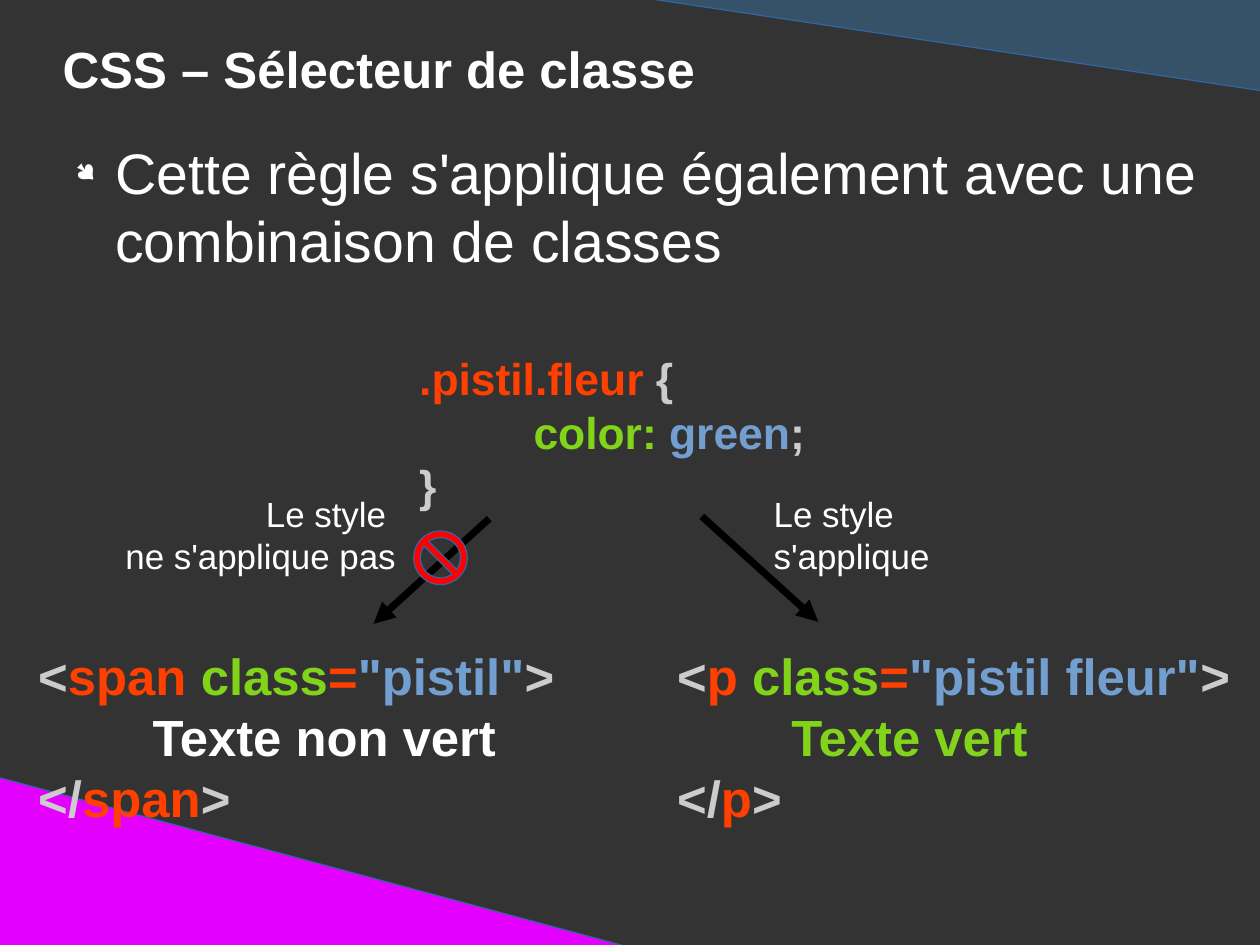
import pptx
import pptx.util
from lxml import etree
from pptx.dml.color import RGBColor
from pptx.enum.shapes import MSO_CONNECTOR, MSO_SHAPE
from pptx.enum.text import PP_ALIGN
from pptx.oxml.ns import qn

Pt = pptx.util.Pt

DARK = RGBColor(0x33, 0x33, 0x33)
WHITE = RGBColor(0xFF, 0xFF, 0xFF)
BLACK = RGBColor(0, 0, 0)
GREY = RGBColor(0xCC, 0xCC, 0xCC)
ORANGE = RGBColor(0xFF, 0x40, 0x00)
GREEN = RGBColor(0x81, 0xD4, 0x1A)
BLUE = RGBColor(0x72, 0x9F, 0xCF)
EDGE = RGBColor(0x34, 0x65, 0xA4)
TEAL = RGBColor(0x35, 0x52, 0x69)
PINK = RGBColor(0xE4, 0x00, 0xFF)
RED = RGBColor(0xFF, 0, 0)

WIDTH, HEIGHT = 793.7, 595.28
TITLE = "CSS – Sélecteur de classe"
BODY = "Cette règle s'applique également avec une combinaison de classes"

# Code blocks: place, size, paragraphs of (text, colour)
CODES = [
    ((17, 402.3, 356.4, 114.5), 32, [
        [("<", GREY), ("span ", ORANGE), ("class", GREEN), ("=", ORANGE),
         ('"pistil"', BLUE), ("> \n\t", GREY), ("Texte non vert \n", WHITE),
         ("</", GREY), ("span", ORANGE), (">", GREY)]]),
    ((257, 217.9, 270, 131.8), 28, [
        [(".pistil.fleur ", ORANGE), ("{", GREY)],
        [("\tcolor: ", GREEN), ("green", BLUE), (";", GREY)],
        [("}", GREY)]]),
    ((419.5, 402.3, 374.4, 150.5), 32, [
        [("<", GREY), ("p ", ORANGE), ("class", GREEN), ("=", ORANGE),
         ('"pistil fleur"', BLUE), ("> \n\t", GREY), ("Texte vert\n", GREEN),
         ("</", GREY), ("p", ORANGE), (">", GREY)]]),
]

# Labels: left edge, alignment, text
LABELS = [
    (73.6, PP_ALIGN.RIGHT, "Le style \nne s'applique pas"),
    (487.4, PP_ALIGN.LEFT, "Le style \ns'applique"),
]

ARROWS = [(308.2, 326.7, 235.3, 393), (442.1, 325.3, 515.4, 391.7)]


def add_mark(kind, place, fill, turn=0):
    mark = slide.shapes.add_shape(kind, *map(Pt, place))
    mark.shadow.inherit = False
    mark.rotation = turn
    mark.fill.solid()
    mark.fill.fore_color.rgb = fill
    mark.line.color.rgb = EDGE
    mark.line.width = Pt(0)
    return mark


def add_run(para, text, color):
    """Add coloured text, with a line break at each newline."""
    for i, part in enumerate(text.split("\n")):
        if i:
            para.add_line_break()
        if part:
            run = para.add_run()
            run.text = part
            run.font.color.rgb = color


def add_text(place, size, paras, bold=False, align=PP_ALIGN.LEFT,
             pad=(0, 0), tab=False):
    """Add a text box; each paragraph is a list of (text, colour) runs."""
    frame = slide.shapes.add_textbox(*map(Pt, place)).text_frame
    frame.word_wrap = True
    frame.margin_left = frame.margin_right = Pt(pad[0])
    frame.margin_top = frame.margin_bottom = Pt(pad[1])
    for i, runs in enumerate(paras):
        para = frame.add_paragraph() if i else frame.paragraphs[0]
        para.alignment = align
        if tab:
            stops = etree.SubElement(para._p.get_or_add_pPr(), qn("a:tabLst"))
            etree.SubElement(stops, qn("a:tab"), pos=str(Pt(72)), algn="l")
        para.font.name = "Arial"
        para.font.size = Pt(size)
        para.font.bold = bold
        for text, color in runs:
            add_run(para, text, color)
    return frame


def add_bullet(para):
    props = para._p.get_or_add_pPr()
    props.set("marL", str(Pt(33.8)))
    props.set("indent", str(Pt(-25.2)))
    color = etree.Element(qn("a:buClr"))
    etree.SubElement(color, qn("a:srgbClr"), val=str(WHITE))
    size = etree.Element(qn("a:buSzPct"), val="45000")
    font = etree.Element(qn("a:buFont"), typeface="Wingdings", charset="2")
    char = etree.Element(qn("a:buChar"), char="●")
    for i, part in enumerate((color, size, font, char)):
        props.insert(i, part)


def add_arrow(ends):
    arrow = slide.shapes.add_connector(MSO_CONNECTOR.STRAIGHT, *map(Pt, ends))
    arrow.line.color.rgb = BLACK
    arrow.line.width = Pt(4.5)
    etree.SubElement(arrow.line._get_or_add_ln(), qn("a:tailEnd"),
                     type="triangle")
    etree.SubElement(arrow._element.spPr, qn("a:effectLst"))


deck = pptx.Presentation()
deck.slide_width, deck.slide_height = Pt(WIDTH), Pt(HEIGHT)
slide = deck.slides.add_slide(deck.slide_layouts[6])
slide.background.fill.solid()
slide.background.fill.fore_color.rgb = DARK

add_mark(MSO_SHAPE.RIGHT_TRIANGLE, (385.9, -4.3, 411.8, 61.9), TEAL, 180)
add_mark(MSO_SHAPE.RIGHT_TRIANGLE, (-1.4, 489.6, 411.8, 110.9), PINK)

add_text((39.4, 23.8, 714.2, 49), 32, [[(TITLE, WHITE)]], bold=True)
body = add_text((38.9, 86.4, 731.5, 131), 36, [[(BODY, WHITE)]])
add_bullet(body.paragraphs[0])

for place, size, paras in CODES:
    add_text(place, size, paras, bold=True, pad=(7.2, 3.6), tab=True)

for ends in ARROWS:
    add_arrow(ends)
ban = add_mark(MSO_SHAPE.NO_SYMBOL, (260.6, 334.5, 33.8, 33.8), RED)
ban.adjustments[0] = 0.125

for left, align, text in LABELS:
    add_text((left, 310.3, 175.7, 58.3), 22, [[(text, WHITE)]], align=align)

deck.save("out.pptx")
